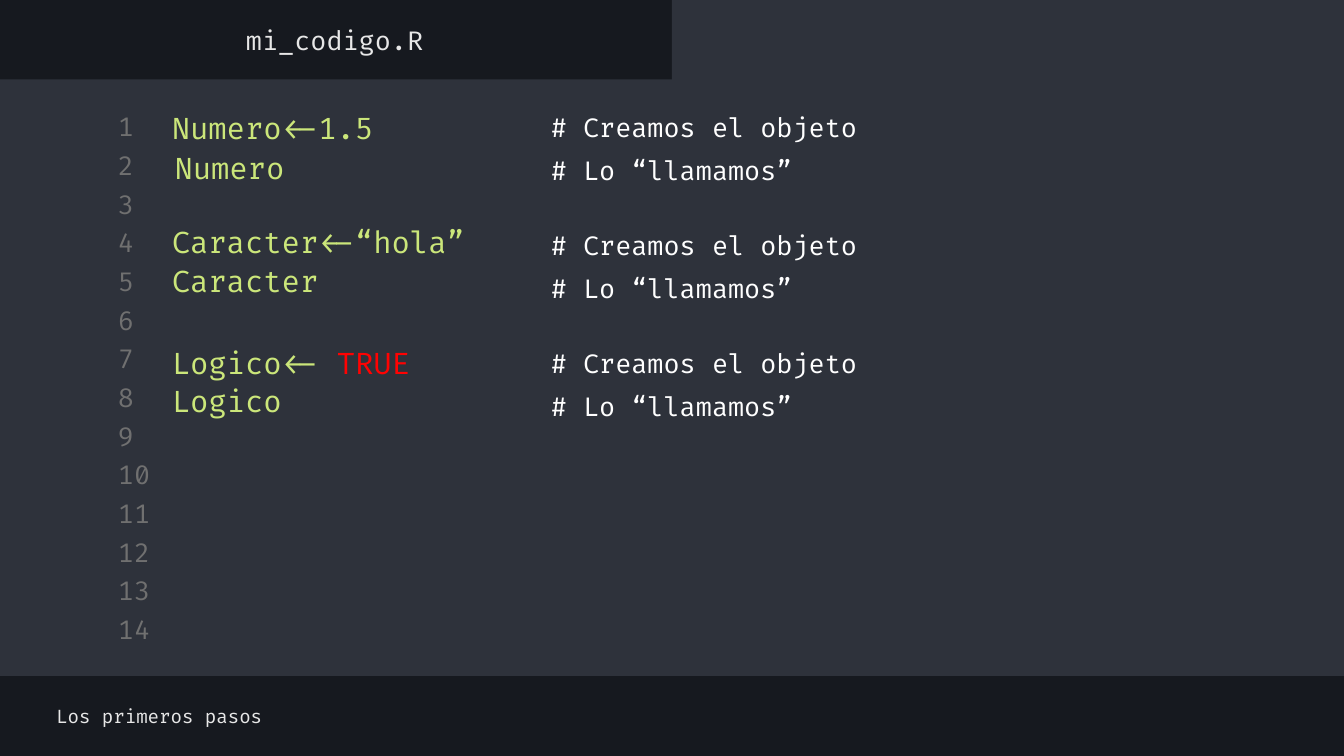
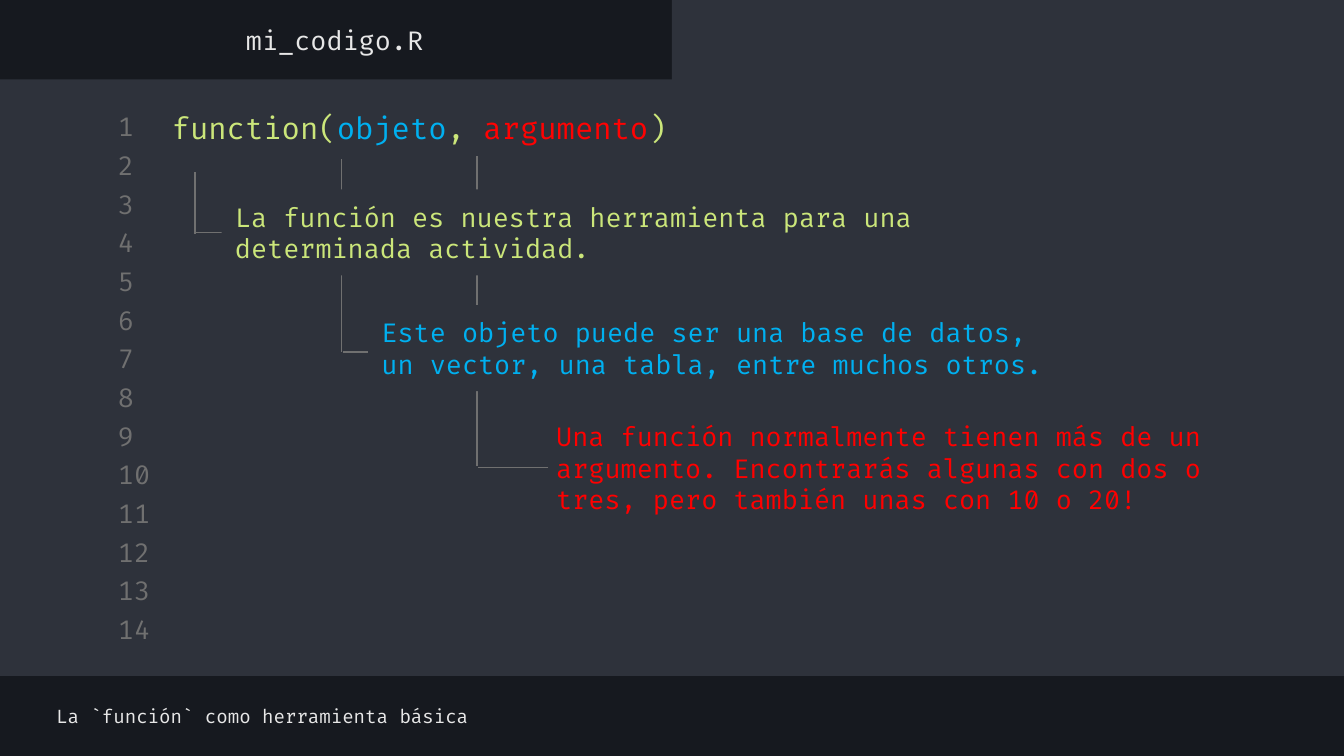
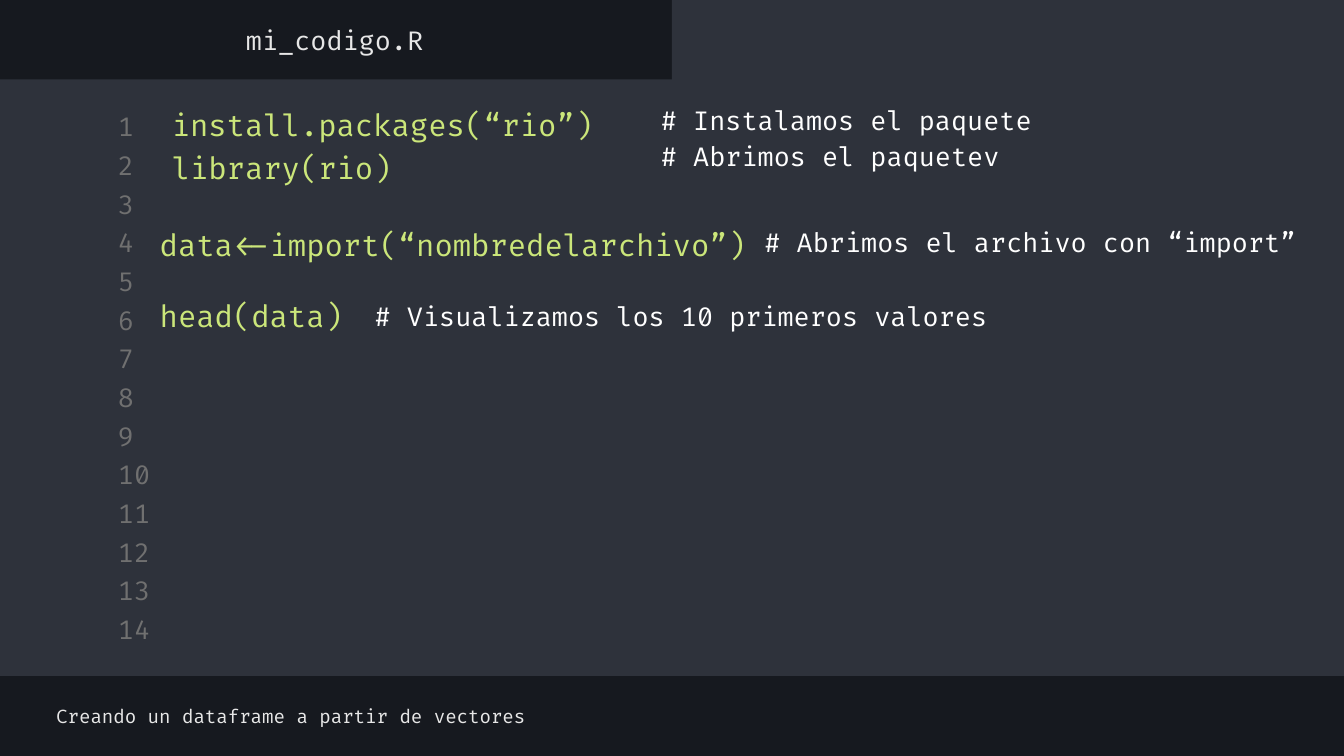
from pptx import Presentation
from pptx.dml.color import RGBColor
from pptx.enum.shapes import MSO_CONNECTOR, MSO_SHAPE
from pptx.enum.text import MSO_ANCHOR, MSO_AUTO_SIZE, PP_ALIGN
from pptx.oxml.ns import qn
from pptx.util import Inches, Pt
from lxml import etree

FONT = "Fira Code"
BAND, PANEL, GREY, LIGHT = "16191F", "2E323B", "707070", "E7E7E7"
GREEN, BLUE, RED, WHITE = "CBE67A", "00B0F0", "FF0202", "FFFFFF"


def write(sp, *runs, size=14, color=WHITE, align=PP_ALIGN.LEFT):
    """Fill a shape with runs: plain strings, or (string, colour) pairs."""
    tf = sp.text_frame
    tf.word_wrap = True
    tf.auto_size = MSO_AUTO_SIZE.NONE
    tf.vertical_anchor = MSO_ANCHOR.MIDDLE
    tf.margin_left = tf.margin_right = tf.margin_top = tf.margin_bottom = Inches(0.1)
    p = tf.paragraphs[0]
    p.alignment = align
    for run in runs:
        text, run_color = (run, color) if isinstance(run, str) else run
        r = p.add_run()
        r.text = text
        r.font.name = FONT
        r.font.size = Pt(size)
        r.font.color.rgb = RGBColor.from_string(run_color)


def add_panel(s, x, y, w, h):
    sp = s.shapes.add_shape(MSO_SHAPE.RECTANGLE, Inches(x), Inches(y), Inches(w), Inches(h))
    sp.shadow.inherit = False
    sp.fill.solid()
    sp.fill.fore_color.rgb = RGBColor.from_string(PANEL)
    sp.line.fill.background()
    return sp


# 16:9 page with a dark background
prs = Presentation()
prs.slide_width = Inches(10)
prs.slide_height = prs.slide_width * 9 // 16
fill = prs.slide_master.background.fill
fill.solid()
fill.fore_color.rgb = RGBColor.from_string(BAND)

# Content: footer, code lines (x, y, runs), notes (x, y, w, h, text, colour), lines (x1, y1, x2, y2)
assign_notes = [
    (4, 0.74 + 0.88 * block + 0.32 * row, 5.02, 0.41, text, WHITE)
    for block in range(3)
    for row, text in enumerate(["# Creamos el objeto", "# Lo “llamamos”"])
]
slides = [
    ("Los primeros pasos",
     [(1.18, 0.79, ["Numero<-1.5"]),
      (1.2, 1.09, ["Numero"]),
      (1.18, 1.64, ["Caracter<-“hola”"]),
      (1.18, 1.93, ["Caracter"]),
      (1.18, 2.54, ["Logico<-", (" TRUE", RED)]),
      (1.18, 2.82, ["Logico"])],
     assign_notes,
     []),
    ("La `función` como herramienta básica",
     [(1.18, 0.79, ["function(", ("objeto", BLUE), ", ", ("argumento", RED), ")"])],
     [(4.04, 3.16, 5.02, 0.64,
       "Una función normalmente tienen más de un argumento. Encontrarás algunas "
       "con dos o tres, pero también unas con 10 o 20!", "FF0000"),
      (1.65, 1.41, 6.26, 0.64,
       "La función es nuestra herramienta para una determinada actividad.", GREEN),
      (2.74, 2.27, 5.17, 0.64,
       "Este objeto puede ser una base de datos, un vector, una tabla, entre muchos otros.", BLUE)],
     [(3.55, 3.47, 3.55, 1.16), (4.08, 3.48, 3.56, 3.48),
      (2.54, 2.62, 2.54, 1.18), (2.74, 2.62, 2.55, 2.62),
      (1.45, 1.74, 1.45, 1.28), (1.65, 1.73, 1.45, 1.73)]),
    ("Creando un dataframe a partir de vectores",
     [(1.18, 0.77, ["install.packages(“rio”)"]),
      (1.18, 1.09, ["library(rio)"]),
      (1.09, 1.66, ["data<-import(“nombredelarchivo”)"]),
      (1.09, 2.19, ["head(data)"])],
     [(4.82, 0.82, 5, 0.14, "# Instalamos el paquete", WHITE),
      (4.82, 1.09, 5, 0.14, "# Abrimos el paquetev", WHITE),
      (5.59, 1.73, 4.24, 0.14, "# Abrimos el archivo con “import”", WHITE),
      (2.69, 2.28, 5, 0.14, "# Visualizamos los 10 primeros valores", WHITE)],
     []),
]

for footer, code, notes, lines in slides:
    s = prs.slides.add_slide(prs.slide_layouts[5])

    # Editor panels
    add_panel(s, 0, 0.59, 10, 4.44)
    add_panel(s, 5, 0, 5, 0.65)

    # File tab as title
    title = s.shapes.title
    title.left, title.top, title.width, title.height = Inches(-0.01), Inches(0.1), Inches(5), Inches(0.39)
    write(title, "mi_codigo.R", color=LIGHT, align=PP_ALIGN.CENTER)

    # Line numbers, evenly spread
    for i in range(14):
        tb = s.shapes.add_textbox(Inches(0.78), Inches(0.82 + 3.74 * i / 13), Inches(0.47), Inches(0.24))
        write(tb, str(i + 1), color=GREY)

    # Footer
    tb = s.shapes.add_textbox(Inches(0.32), Inches(5.13), Inches(5.32), Inches(0.39))
    write(tb, footer, size=10, color=LIGHT)

    # Notes; the guide lines run over the first one and behind the rest
    for i, (x, y, w, h, text, color) in enumerate(notes):
        write(add_panel(s, x, y, w, h), text, color=color)
        if i > 0:
            continue
        for x1, y1, x2, y2 in lines:
            line = s.shapes.add_connector(MSO_CONNECTOR.STRAIGHT, Inches(x1), Inches(y1), Inches(x2), Inches(y2))
            line.line.color.rgb = RGBColor.from_string(GREY)
            line.line.width = Pt(0.75)
            etree.SubElement(line._element.spPr, qn("a:effectLst"))

    # Code
    for x, y, runs in code:
        tb = s.shapes.add_textbox(Inches(x), Inches(y), Inches(7.62), Inches(0.32))
        write(tb, *runs, size=16, color=GREEN)

prs.save("out.pptx")
